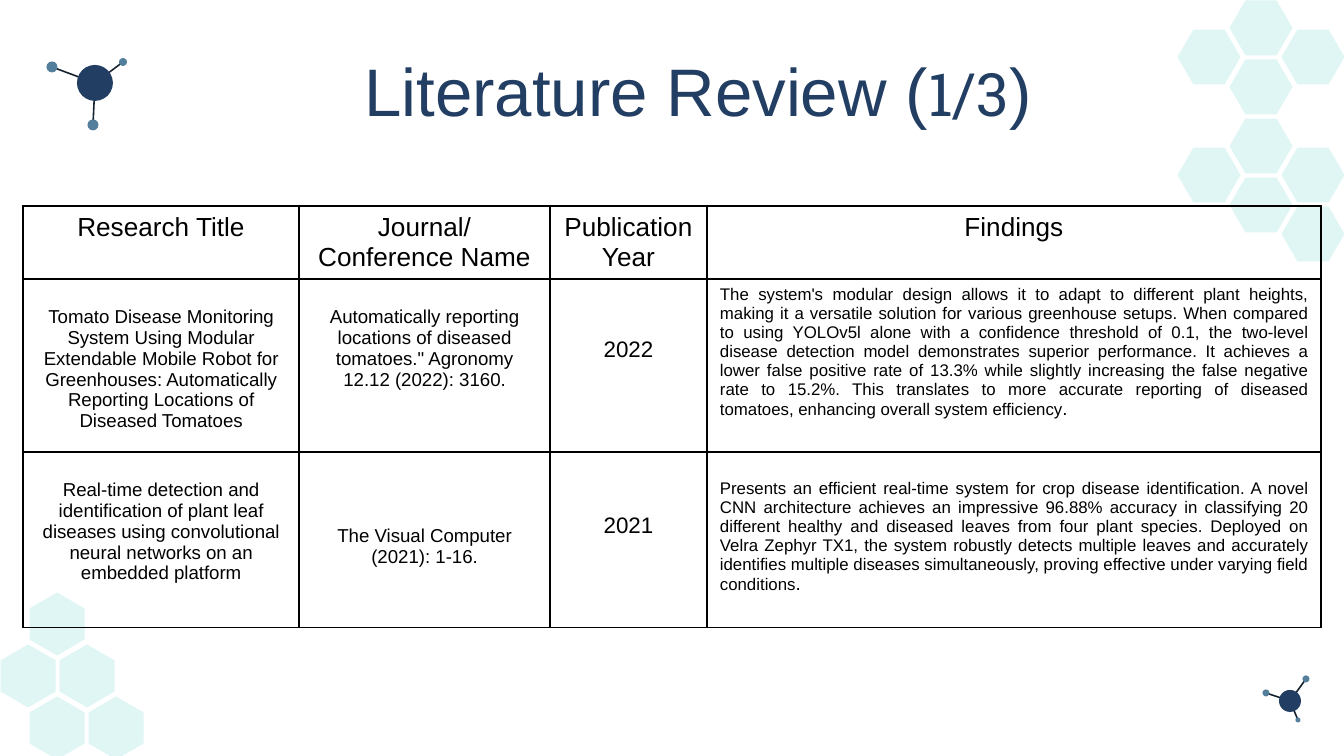
from dataclasses import dataclass

from lxml import etree
from pptx import Presentation
from pptx.dml.color import RGBColor
from pptx.enum.shapes import MSO_CONNECTOR, MSO_SHAPE
from pptx.enum.text import MSO_ANCHOR, MSO_AUTO_SIZE, PP_ALIGN
from pptx.oxml.ns import qn
from pptx.util import Pt

HEX, OVAL = MSO_SHAPE.HEXAGON, MSO_SHAPE.OVAL
LINE = MSO_CONNECTOR.STRAIGHT
CENTER, JUSTIFY = PP_ALIGN.CENTER, PP_ALIGN.JUSTIFY
TOP = MSO_ANCHOR.TOP
FIXED = MSO_AUTO_SIZE.NONE
WIDE, HIGH = 1344, 756
SCALE = 9144000 / WIDE


@dataclass(frozen=True)
class Theme:
    navy: str = "223E63"
    steel: str = "537F9C"
    bond: str = "15212F"
    mint: str = "E0F6F4"
    ink: str = "000000"
    sans: str = "Arial"
    slab: str = "Roboto Slab"
    title: int = 36
    count: int = 32
    head: int = 14
    year: int = 12
    body: int = 10
    note: int = 9


def px(n):
    return round(n * SCALE)


class Deck:
    def __init__(self, theme):
        self.theme = theme
        self.file = Presentation()
        self.file.slide_width, self.file.slide_height = px(WIDE), px(HIGH)
        self.slide = self.file.slides.add_slide(self.file.slide_layouts[5])
        self.shapes = self.slide.shapes

    def text(self, para, parts, color, align):
        para.alignment = align
        for words, size, font in parts:
            run = para.add_run()
            run.text = words
            run.font.size = Pt(size)
            run.font.name = font
            run.font.color.rgb = RGBColor.from_string(color)

    def title(self, box, parts):
        shape = self.shapes.title
        shape.left, shape.top, shape.width, shape.height = map(px, box)
        frame = shape.text_frame
        frame.auto_size = FIXED
        frame.word_wrap = True
        frame.vertical_anchor = TOP
        frame.margin_left = frame.margin_right = px(13)
        frame.margin_top = frame.margin_bottom = px(13)
        self.text(frame.paragraphs[0], parts, self.theme.navy, CENTER)

    def shape(self, kind, x, y, w, h, color):
        item = self.shapes.add_shape(kind, px(x - w / 2), px(y - h / 2), px(w), px(h))
        item.shadow.inherit = False
        item.fill.solid()
        item.fill.fore_color.rgb = RGBColor.from_string(color)
        item.line.fill.background()
        return item

    def hexes(self, spots, turn=0):
        for x, y in spots:
            tile = self.shape(HEX, x, y, 63, 55, self.theme.mint)
            tile.adjustments[0] = 0.29
            tile.rotation = turn

    def bond(self, start, end):
        line = self.shapes.add_connector(LINE, *map(px, start + end))
        line.line.width = Pt(0.85)
        line.line.color.rgb = RGBColor.from_string(self.theme.bond)
        etree.SubElement(line._element.spPr, qn("a:effectLst"))

    def atom(self, hub, size, nodes):
        for x, y, _ in nodes:
            self.bond(hub, (x, y))
        self.shape(OVAL, *hub, size, size, self.theme.navy)
        for x, y, dot in nodes:
            self.shape(OVAL, x, y, dot, dot, self.theme.steel)

    def border(self, cell):
        props = cell._tc.get_or_add_tcPr()
        for n, side in enumerate(("lnL", "lnR", "lnT", "lnB")):
            line = etree.Element(qn("a:" + side), w=str(Pt(1)))
            fill = etree.SubElement(line, qn("a:solidFill"))
            etree.SubElement(fill, qn("a:srgbClr"), val=self.theme.ink)
            props.insert(n, line)

    def table(self, x, y, cols, rows, cells):
        frame = self.shapes.add_table(
            len(rows), len(cols), px(x), px(y), px(sum(cols)), px(sum(rows)))
        table = frame.table
        table.first_row = table.horz_banding = False
        for col, width in zip(table.columns, cols):
            col.width = px(width)
        for row, height, line in zip(table.rows, rows, cells):
            row.height = px(height)
            for cell, (parts, gap, align) in zip(row.cells, line):
                cell.fill.background()
                cell.vertical_anchor = TOP
                cell.margin_left = cell.margin_right = px(13)
                cell.margin_top, cell.margin_bottom = px(gap), px(7)
                self.text(cell.text_frame.paragraphs[0], parts, self.theme.ink, align)
                self.border(cell)


def main():
    look = Theme()
    deck = Deck(look)

    def plain(words, size, gap=7):
        return [(words, size, look.sans)], gap, CENTER

    def finding(words, gap):
        parts = [(words, look.note, look.sans), (".", look.body, look.sans)]
        return parts, gap, JUSTIFY

    deck.atom((95, 83), 36, [(52, 67, 11), (123, 62, 8), (93, 125, 11)])
    deck.atom((1290, 701), 22, [(1266, 693, 7), (1306, 679, 7), (1298, 720, 5)])

    left = [(2, 1), (0, 1), (1, 0), (3, 2), (1, 2)]
    deck.hexes([(28 + c * 59 // 2, 624 + 52 * r) for c, r in left], 90)
    deck.title((140, 36, 1116, 85), [
        ("Literature Review (", look.title, look.sans),
        ("1/3", look.count, look.slab),
        (")", look.title, look.sans),
    ])
    right = [(1, 2), (1, 0), (0, 1), (2, 1), (1, 6), (1, 4), (0, 5), (2, 7), (2, 5)]
    deck.hexes([(1209 + 52 * c, 28 + r * 59 // 2) for c, r in right])

    heads = ["Research Title", "Journal/Conference Name", "Publication Year", "Findings"]
    cells = [
        [plain(head, look.head) for head in heads],
        [
            plain("Tomato Disease Monitoring System Using Modular Extendable Mobile "
                  "Robot for Greenhouses: Automatically Reporting Locations of "
                  "Diseased Tomatoes", look.body, 28),
            plain("Automatically reporting locations of diseased tomatoes.\" "
                  "Agronomy 12.12 (2022): 3160.", look.body, 28),
            plain("2022", look.year, 58),
            finding("The system's modular design allows it to adapt to different plant "
                    "heights, making it a versatile solution for various greenhouse "
                    "setups. When compared to using YOLOv5l alone with a confidence "
                    "threshold of 0.1, the two-level disease detection model "
                    "demonstrates superior performance. It achieves a lower false "
                    "positive rate of 13.3% while slightly increasing the false "
                    "negative rate to 15.2%. This translates to more accurate reporting "
                    "of diseased tomatoes, enhancing overall system efficiency", 7),
        ],
        [
            plain("Real-time detection and identification of plant leaf diseases using "
                  "convolutional neural networks on an embedded platform", look.body, 28),
            plain("The Visual Computer (2021): 1-16.", look.body, 74),
            plain("2021", look.year, 61),
            finding("Presents an efficient real-time system for crop disease "
                    "identification. A novel CNN architecture achieves an impressive "
                    "96.88% accuracy in classifying 20 different healthy and diseased "
                    "leaves from four plant species. Deployed on Velra Zephyr TX1, the "
                    "system robustly detects multiple leaves and accurately identifies "
                    "multiple diseases simultaneously, proving effective under varying "
                    "field conditions", 28),
        ],
    ]
    deck.table(23, 206, [276, 251, 157, 614], [67, 173, 176], cells)
    deck.file.save("out.pptx")


if __name__ == "__main__":
    main()
